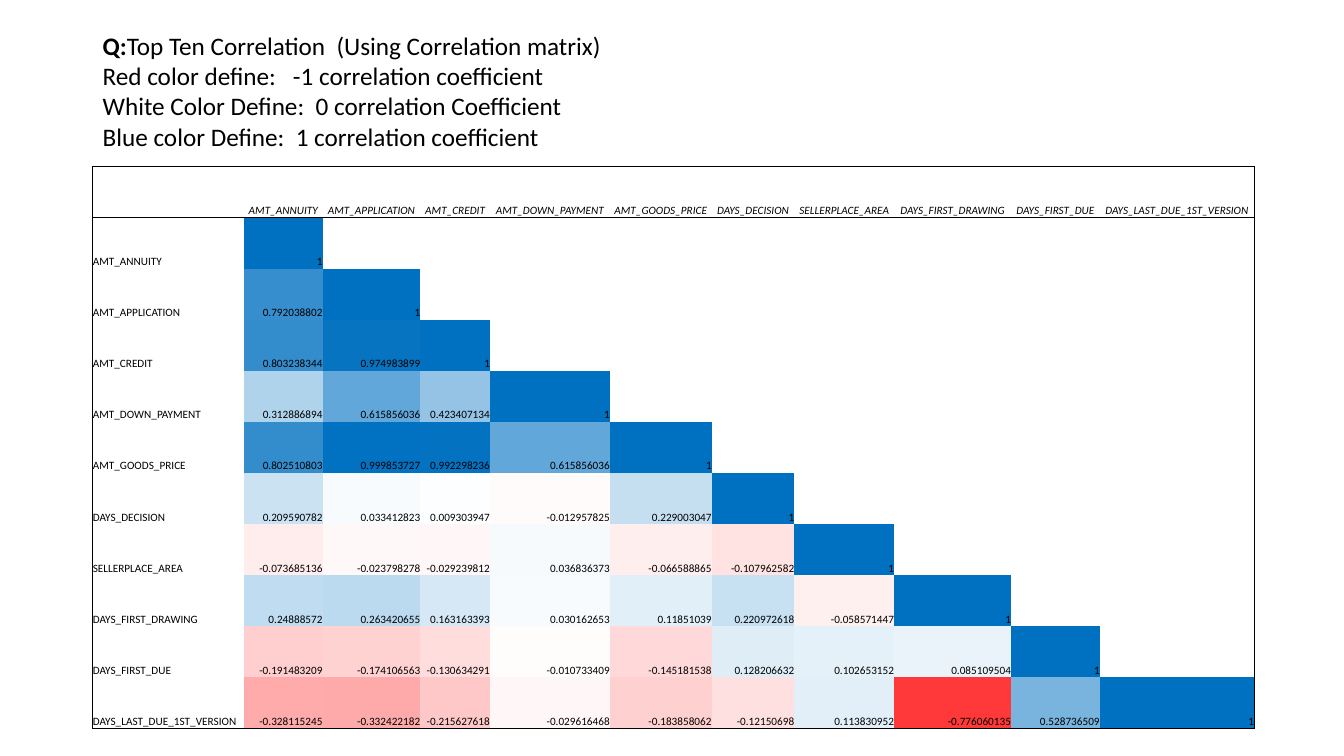
import math

import pptx
import pptx.dml.color
import pptx.enum.text
import pptx.oxml.ns
import pptx.util
from lxml import etree

Inches = pptx.util.Inches
Pt = pptx.util.Pt
ALIGN = pptx.enum.text.PP_ALIGN

FONT = "Calibri"
COLORS = {"ink": "000000", "white": "FFFFFF", "plus": "0070C0", "minus": "FF0000"}

NOTES = [
    [("Q:", True), ("Top Ten Correlation  (Using Correlation matrix)", False)],
    [("Red color define:   -1 correlation coefficient", False)],
    [("White Color Define:  0 correlation Coefficient", False)],
    [("Blue color Define:  1 correlation coefficient", False)],
]
NAMES = [
    "AMT_ANNUITY", "AMT_APPLICATION", "AMT_CREDIT", "AMT_DOWN_PAYMENT",
    "AMT_GOODS_PRICE", "DAYS_DECISION", "SELLERPLACE_AREA",
    "DAYS_FIRST_DRAWING", "DAYS_FIRST_DUE", "DAYS_LAST_DUE_1ST_VERSION",
]
# Lower triangle of the matrix; the diagonal is always 1.
VALUES = [
    [],
    [0.792038802],
    [0.803238344, 0.974983899],
    [0.312886894, 0.615856036, 0.423407134],
    [0.802510803, 0.999853727, 0.992298236, 0.615856036],
    [0.209590782, 0.033412823, 0.009303947, -0.012957825, 0.229003047],
    [-0.073685136, -0.023798278, -0.029239812, 0.036836373, -0.066588865,
     -0.107962582],
    [0.24888572, 0.263420655, 0.163163393, 0.030162653, 0.11851039,
     0.220972618, -0.058571447],
    [-0.191483209, -0.174106563, -0.130634291, -0.010733409, -0.145181538,
     0.128206632, 0.102653152, 0.085109504],
    [-0.328115245, -0.332422182, -0.215627618, -0.029616468, -0.183858062,
     -0.12150698, 0.113830952, -0.776060135, 0.528736509],
]
WIDTHS = [1.5, 0.78, 0.97, 0.69, 1.19, 1.01, 0.82, 0.99, 1.16, 0.88, 1.53]
LEFT, TOP, HIGH = 0.92, 1.65, 5.58


def rgb(code):
    """Turn a hex string into a colour."""
    return pptx.dml.color.RGBColor.from_string(code)


def shade(value):
    """Blend white towards blue (positive) or red (negative)."""
    end = rgb(COLORS["plus" if value > 0 else "minus"])
    trim = math.ceil if value > 0 else math.floor
    parts = [trim(a + (b - a) * abs(value))
             for a, b in zip(rgb(COLORS["white"]), end)]
    return pptx.dml.color.RGBColor(*parts)


def add_run(para, text, size, bold=False, italic=False):
    """Add one styled run to a paragraph."""
    run = para.add_run()
    run.text = text
    font = run.font
    font.name, font.size = FONT, Pt(size)
    font.bold, font.italic = bold, italic
    font.color.rgb = rgb(COLORS["ink"])


def add_notes(slide):
    """Add the heading and the colour key."""
    box = slide.shapes.add_textbox(
        Inches(LEFT), Inches(0.25), Inches(5.2), Inches(1.31))
    frame = box.text_frame
    frame.word_wrap = True
    frame.auto_size = pptx.enum.text.MSO_AUTO_SIZE.SHAPE_TO_FIT_TEXT
    for i, line in enumerate(NOTES):
        para = frame.add_paragraph() if i else frame.paragraphs[0]
        for text, bold in line:
            add_run(para, text, 18, bold=bold)


def set_edges(cell, shown):
    """Draw the sides named in shown and clear the others."""
    qn = pptx.oxml.ns.qn
    props = cell._tc.get_or_add_tcPr()
    for side in "LRTB":
        line = etree.SubElement(props, qn("a:ln" + side), w=str(Pt(0.5)))
        if side in shown:
            fill = etree.SubElement(line, qn("a:solidFill"))
            etree.SubElement(fill, qn("a:srgbClr"), val=COLORS["ink"])
        else:
            etree.SubElement(line, qn("a:noFill"))


def fill_cell(cell, text, align, value=None, italic=False):
    """Write a cell and shade it when it holds a value."""
    cell.margin_left = cell.margin_right = 0
    cell.margin_top = cell.margin_bottom = 0
    cell.vertical_anchor = pptx.enum.text.MSO_ANCHOR.BOTTOM
    para = cell.text_frame.paragraphs[0]
    para.alignment = align
    add_run(para, text, 8, italic=italic)
    if value is not None:
        cell.fill.solid()
        cell.fill.fore_color.rgb = shade(value)


def add_matrix(slide):
    """Add the correlation matrix as a table."""
    count = len(NAMES) + 1
    table = slide.shapes.add_table(
        count, count, Inches(LEFT), Inches(TOP),
        Inches(sum(WIDTHS)), Inches(HIGH)).table
    table.first_row = table.horz_banding = False
    for col, width in zip(table.columns, WIDTHS):
        col.width = Inches(width)
    for row in table.rows:
        row.height = Inches(HIGH / count)

    last = count - 1
    for r in range(count):
        for c in range(count):
            rules = {"L": c == 0, "R": c == last,
                     "T": r in (0, 1), "B": r in (0, last)}
            cell = table.cell(r, c)
            set_edges(cell, [side for side in rules if rules[side]])
            cell.fill.background()

    for i, name in enumerate(NAMES, 1):
        fill_cell(table.cell(0, i), name, ALIGN.CENTER, italic=True)
        fill_cell(table.cell(i, 0), name, ALIGN.LEFT)
        for j, value in enumerate(VALUES[i - 1] + [1], 1):
            fill_cell(table.cell(i, j), str(value), ALIGN.RIGHT, value)


def main():
    """Build and save the slide."""
    deck = pptx.Presentation()
    deck.slide_width, deck.slide_height = Inches(13.33), Inches(7.5)
    slide = deck.slides.add_slide(deck.slide_layouts[6])
    add_matrix(slide)
    add_notes(slide)
    deck.save("out.pptx")


main()
